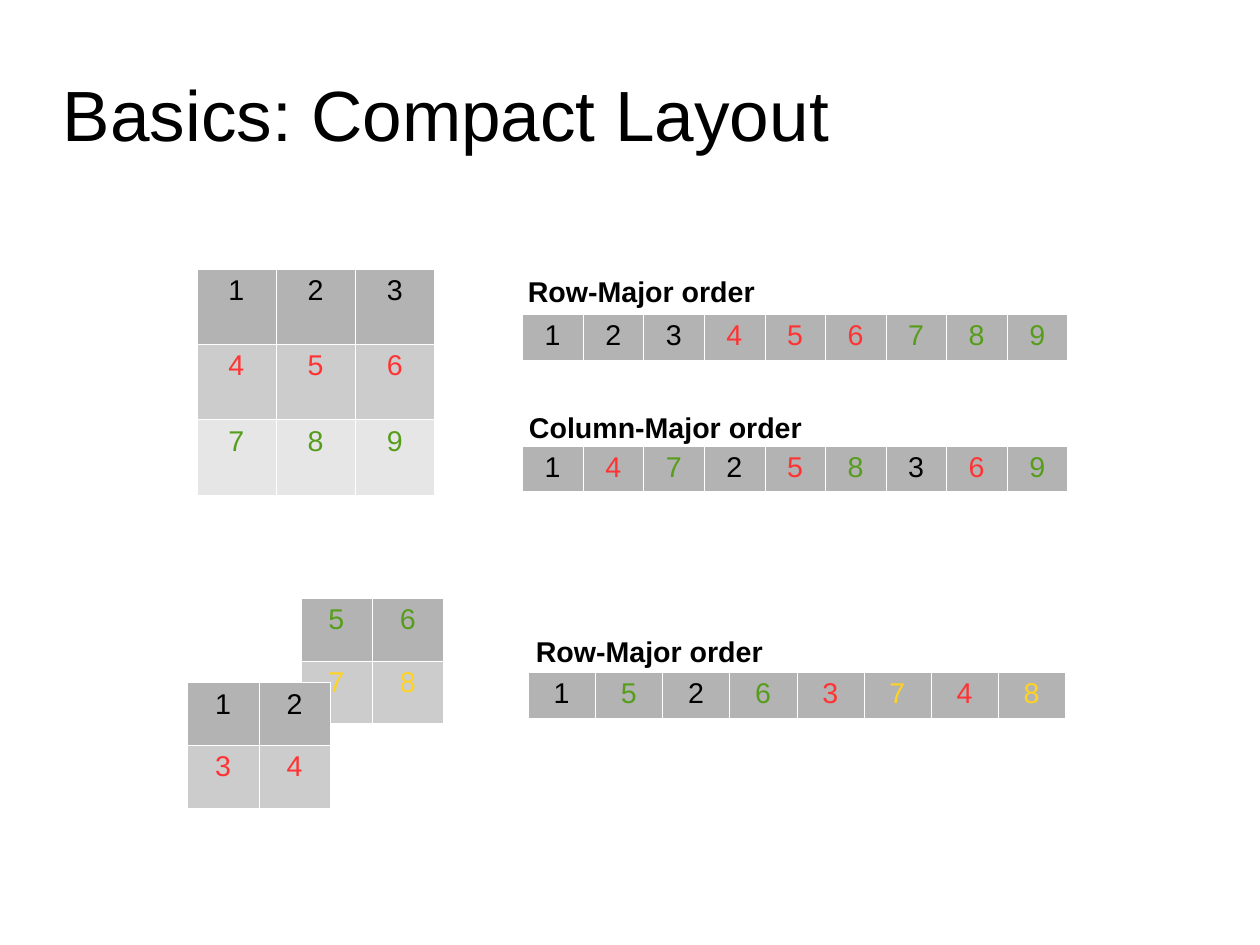
from lxml import etree
from pptx import Presentation
from pptx import util as u
from pptx.dml.color import RGBColor
from pptx.enum import text
from pptx.oxml import ns

HUES = {"black": "000000", "red": "FF3333", "green": "579D1C", "gold": "FFD320",
        "dark": "B3B3B3", "mid": "CCCCCC", "light": "E6E6E6", "edge": "FFFFFF"}
INKS = ["black", "red", "green", "gold"]
FILLS = ["dark", "mid", "light"]


def write(para, words, size, hue="black", bold=False):
    """Add one run of Arial to a paragraph."""
    run = para.add_run()
    run.text = words
    font = run.font
    font.name, font.size, font.bold = "Arial", u.Pt(size), bold
    font.color.rgb = RGBColor.from_string(HUES[hue])


def label(slide, box, words, size=18, bold=True, inset=(0.1, 0.05),
          anchor=text.MSO_ANCHOR.TOP):
    """Place a line of text in a box."""
    frame = slide.shapes.add_textbox(*map(u.Inches, box)).text_frame
    frame.word_wrap = True
    frame.vertical_anchor = anchor
    frame.margin_left = frame.margin_right = u.Inches(inset[0])
    frame.margin_top = frame.margin_bottom = u.Inches(inset[1])
    write(frame.paragraphs[0], words, size, bold=bold)


def edge(cell):
    """Draw hairlines on all four sides of a cell."""
    props = cell._tc.get_or_add_tcPr()
    for side in ("a:lnL", "a:lnR", "a:lnT", "a:lnB"):
        line = etree.SubElement(props, ns.qn(side), w=str(u.Pt(0.06)))
        fill = etree.SubElement(line, ns.qn("a:solidFill"))
        etree.SubElement(fill, ns.qn("a:srgbClr"), val=HUES["edge"])


def grid(slide, box, rows, group):
    """Fill a box with equal cells, inked by groups of numbers."""
    left, top, width, height = box
    count = len(rows[0])
    table = slide.shapes.add_table(len(rows), count, *map(u.Inches, box)).table
    table.first_row = table.horz_banding = False
    for col in table.columns:
        col.width = u.Inches(width / count)
    for r, row in enumerate(rows):
        table.rows[r].height = u.Inches(height / len(rows))
        for c, num in enumerate(row):
            cell = table.cell(r, c)
            edge(cell)
            cell.fill.solid()
            cell.fill.fore_color.rgb = RGBColor.from_string(HUES[FILLS[r]])
            para = cell.text_frame.paragraphs[0]
            para.alignment = text.PP_ALIGN.CENTER
            write(para, str(num), 18, INKS[(num - 1) // group])


def strip(slide, box, words, nums, group, shift):
    """Place a one-row grid with its heading above, moved by shift."""
    left, top, width, height = box
    grid(slide, box, [nums], group)
    label(slide, (left + shift[0], top - shift[1], 2.9, height), words)


def square(slide, box):
    """Show a matrix and its row and column orders."""
    left, top, width, height = box
    rows = [[1, 2, 3], [4, 5, 6], [7, 8, 9]]
    grid(slide, (left, top, 2.08, height), rows, 3)
    start = left + width - 4.77
    strip(slide, (start, top + 0.4, 4.77, 0.38), "Row-Major order",
          sum(rows, []), 3, (-0.05, 0.4))
    strip(slide, (start, top + 1.55, 4.77, 0.38), "Column-Major order",
          [num for col in zip(*rows) for num in col], 3, (-0.04, 0.36))


def cube(slide, box):
    """Show two stacked layers and their row order."""
    left, top, width, height = box
    front, back = [[1, 2], [3, 4]], [[5, 6], [7, 8]]
    grid(slide, (left + 0.99, top, 1.25, 1.1), back, 2)
    grid(slide, (left, top + height - 1.1, 1.25, 1.1), front, 2)
    pairs = zip(sum(front, []), sum(back, []))
    strip(slide, (left + width - 4.7, top + 0.65, 4.7, 0.38), "Row-Major order",
          [num for pair in pairs for num in pair], 2, (-0.03, 0.38))


def main():
    """Build and save the slide."""
    deck = Presentation()
    deck.slide_width = u.Inches(28 / 2.54)
    deck.slide_height = u.Inches(21 / 2.54)
    slide = deck.slides.add_slide(deck.slide_layouts[6])
    label(slide, (0.55, 0.31, 7.68, 1.36), "Basics: Compact Layout", 44.8,
          False, (0, 0), text.MSO_ANCHOR.MIDDLE)
    square(slide, (1.72, 2.35, 7.62, 1.98))
    cube(slide, (1.64, 5.23, 7.68, 1.84))
    deck.save("out.pptx")


if __name__ == "__main__":
    main()
